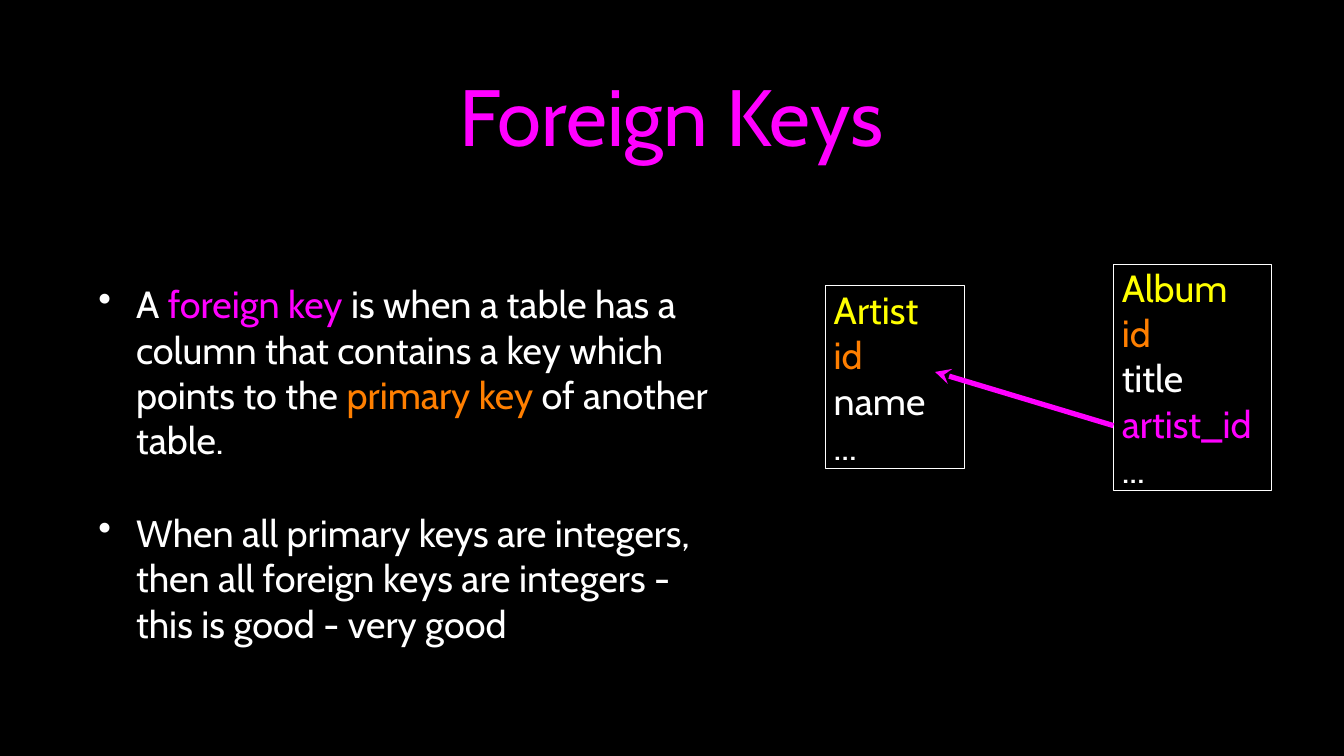
from dataclasses import dataclass

import lxml.etree
import pptx
import pptx.dml.color
import pptx.enum.shapes
import pptx.enum.text
import pptx.oxml.ns
import pptx.util

Inches = pptx.util.Inches
Pt = pptx.util.Pt
qn = pptx.oxml.ns.qn

FONT = "Cabin"
COLORS = {
    "background": "000000",
    "text": "FFFFFF",
    "foreign": "FF00FF",
    "primary": "FF7F00",
    "table": "FFFF00",
}


@dataclass
class Span:
    text: str
    color: str = "text"


@dataclass
class Entity:
    left: float
    top: float
    width: float
    height: float
    rows: list[Span]


TITLE = Span("Foreign Keys", "foreign")
BULLETS = [
    [
        Span("A"),
        Span(" foreign key", "foreign"),
        Span(" is when a table has a column that contains a key which points to the "),
        Span("primary key", "primary"),
        Span(" of another table."),
    ],
    [Span("When all primary keys are integers, then all foreign keys are integers - "
          "this is good - very good")],
]
ENTITIES = [
    Entity(10.92, 3.78, 1.84, 2.42, [
        Span("Artist", "table"), Span("id", "primary"), Span("name"), Span("...")]),
    Entity(14.73, 3.5, 2.09, 2.99, [
        Span("Album", "table"), Span("id", "primary"), Span("title"),
        Span("artist_id", "foreign"), Span("...")]),
]


def rgb(name: str) -> pptx.dml.color.RGBColor:
    return pptx.dml.color.RGBColor.from_string(COLORS[name])


def prepare_frame(frame, left_inset: float, inset: float) -> None:
    frame.word_wrap = True
    frame.vertical_anchor = pptx.enum.text.MSO_ANCHOR.MIDDLE
    frame.margin_left = Inches(left_inset)
    frame.margin_right = frame.margin_top = frame.margin_bottom = Inches(inset)


def write_paragraph(frame, index: int, spans: list[Span], size: int = 36):
    paragraph = frame.paragraphs[0] if index == 0 else frame.add_paragraph()
    paragraph.alignment = pptx.enum.text.PP_ALIGN.LEFT
    for span in spans:
        run = paragraph.add_run()
        run.text = span.text
        run.font.name = FONT
        run.font.size = Pt(size)
        run.font.color.rgb = rgb(span.color)
    return paragraph


def add_bullet(paragraph) -> None:
    properties = paragraph._p.get_or_add_pPr()
    properties.set("marL", str(Inches(0.5)))
    properties.set("indent", str(Inches(-0.5)))
    bullet_color = lxml.etree.SubElement(properties, qn("a:buClr"))
    lxml.etree.SubElement(bullet_color, qn("a:srgbClr"), val=COLORS["text"])
    lxml.etree.SubElement(properties, qn("a:buChar"), char="•")


def draw_title(slide) -> None:
    title = slide.shapes.add_textbox(Inches(1.26), Inches(0.26), Inches(15.24), Inches(2.51))
    prepare_frame(title.text_frame, 0.04, 0.04)
    heading = write_paragraph(title.text_frame, 0, [TITLE], 76)
    heading.alignment = pptx.enum.text.PP_ALIGN.CENTER


def draw_bullets(slide) -> None:
    body = slide.shapes.add_textbox(Inches(1.26), Inches(2.68), Inches(8.35), Inches(6.9))
    prepare_frame(body.text_frame, 0.04, 0.04)
    for index, spans in enumerate(BULLETS):
        point = write_paragraph(body.text_frame, index, spans)
        add_bullet(point)
        point.space_after = Pt(10)
        if index:
            point.space_before = Pt(35)


def draw_entity(slide, entity: Entity) -> None:
    box = slide.shapes.add_shape(
        pptx.enum.shapes.MSO_SHAPE.RECTANGLE, Inches(entity.left), Inches(entity.top),
        Inches(entity.width), Inches(entity.height))
    box.shadow.inherit = False
    box.fill.background()
    box.line.color.rgb = rgb("text")
    box.line.width = Pt(1)
    prepare_frame(box.text_frame, 0.11, 0)
    for index, row in enumerate(entity.rows):
        write_paragraph(box.text_frame, index, [row])


def draw_reference(slide) -> None:
    reference = slide.shapes.add_connector(
        pptx.enum.shapes.MSO_CONNECTOR.STRAIGHT,
        Inches(12.37), Inches(4.92), Inches(14.73), Inches(5.63))
    reference.line.color.rgb = rgb("foreign")
    reference.line.width = Pt(5)
    lxml.etree.SubElement(reference.line._get_or_add_ln(), qn("a:headEnd"), type="stealth")
    lxml.etree.SubElement(reference._element.spPr, qn("a:effectLst"))


def main() -> None:
    deck = pptx.Presentation()
    deck.slide_width = Inches(17.78)
    deck.slide_height = Inches(10)
    slide = deck.slides.add_slide(deck.slide_layouts[6])
    slide.background.fill.solid()
    slide.background.fill.fore_color.rgb = rgb("background")

    # Title and explanation
    draw_title(slide)
    draw_bullets(slide)

    # Tables, with the arrow from artist_id back to the Artist id
    for entity in ENTITIES:
        draw_entity(slide, entity)
    draw_reference(slide)

    deck.save("out.pptx")


if __name__ == "__main__":
    main()
